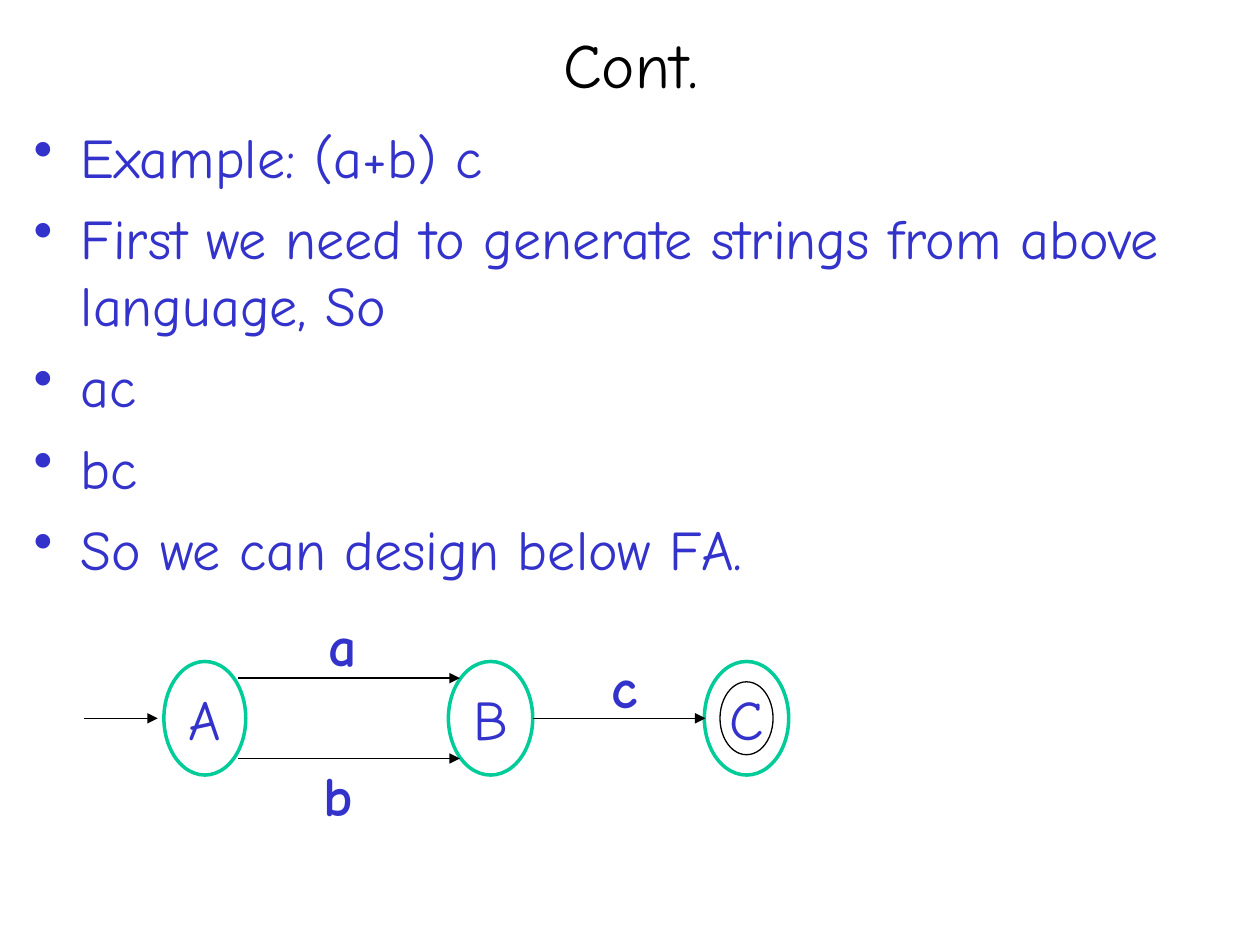
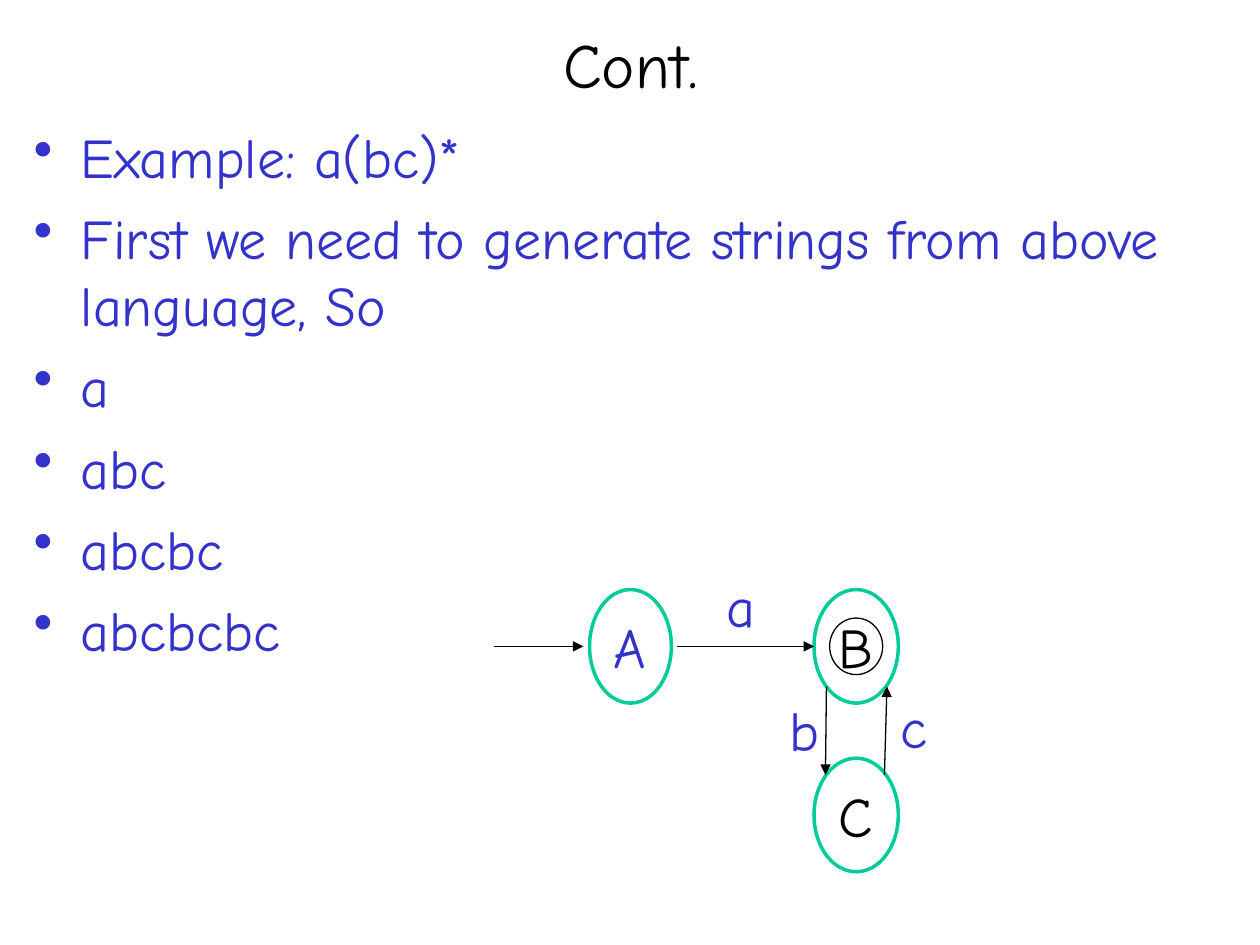
from lxml import etree
from pptx import Presentation
from pptx.dml.color import RGBColor
from pptx.enum.shapes import MSO_CONNECTOR as Link, MSO_SHAPE as Shape
from pptx.enum.text import MSO_ANCHOR as Anchor, MSO_AUTO_SIZE as Fit, PP_ALIGN as Align
from pptx.oxml.ns import qn
from pptx.util import Cm, Pt

COLORS = {"ink": "000000", "text": "3333CC", "state": "00CC99", "paper": "FFFFFF"}
FONT = "Comic Neue"
STATE_HEIGHT, LABEL_SIZE = 2.29, (1.07, 1.63)
TASK = "First we need to generate strings from above language, So"

# Places are in cm. states: name, centre x, centre y, width, text colour;
# accepting: centre x, centre y, width, height of the inner ring;
# arrows: from x, from y, to x, to y; labels: text, left, top.
SLIDES = [
    {
        "bullets": ["Example: (a+b) c", TASK, "ac", "bc", "So we can design below FA."],
        "states": [("A", 4.13, 14.48, 1.65, "text"),
                   ("B", 9.89, 14.48, 1.7, "text"),
                   ("C", 15.05, 14.48, 1.7, "text")],
        "accepting": (15.05, 14.48, 1.07, 1.47),
        "arrows": [(1.7, 14.48, 3.18, 14.48), (4.8, 13.67, 9.27, 13.67),
                   (4.8, 15.29, 9.27, 15.29), (10.74, 14.48, 14.22, 14.48)],
        "labels": [("a", 6.38, 12.19), ("b", 6.27, 15.21), ("c", 12.07, 13.03)],
        "bold_labels": True,
    },
    {
        "bullets": ["Example: a(bc)*", TASK, "a", "abc", "abcbc", "abcbcbc"],
        "states": [("A", 12.71, 13.03, 1.65, "text"),
                   ("B", 17.26, 13.03, 1.7, "ink"),
                   ("C", 17.26, 16.43, 1.7, "ink")],
        "accepting": (17.26, 13.03, 1.07, 1.14),
        "arrows": [(9.96, 13.03, 11.76, 13.03), (13.64, 13.03, 16.41, 13.03),
                   (16.66, 13.84, 16.64, 15.62), (17.83, 15.62, 17.88, 13.84)],
        "labels": [("a", 14.4, 11.4), ("b", 15.67, 13.89), ("c", 17.91, 13.84)],
        "bold_labels": False,
    },
]


def write(box, lines, color="text", size=32, bold=False, bullets=False, **frame_format):
    """Fill a box with one paragraph per line."""
    frame = box.text_frame
    settings = {"vertical_anchor": Anchor.TOP, "word_wrap": True, **frame_format}
    align = settings.pop("align", Align.LEFT)
    for name, value in settings.items():
        setattr(frame, name, value)
    for number, line in enumerate(lines):
        para = frame.add_paragraph() if number else frame.paragraphs[0]
        para.alignment = align
        if number:
            para.space_before = Pt(8)
        if bullets:
            props = para._p.get_or_add_pPr()
            props.set("marL", str(Cm(0.95)))
            props.set("indent", str(-Cm(0.95)))
            etree.SubElement(props, qn("a:buChar"), char="•")
        span = para.add_run()
        span.text = line
        for name, value in {"name": FONT, "size": Pt(size), "bold": bold}.items():
            setattr(span.font, name, value)
        span.font.color.rgb = RGBColor.from_string(COLORS[color])


def add_ellipse(page, center_x, center_y, width, height, color, weight):
    oval = page.shapes.add_shape(Shape.OVAL, Cm(center_x - width / 2),
                                 Cm(center_y - height / 2), Cm(width), Cm(height))
    oval.shadow.inherit = False
    oval.line.color.rgb = RGBColor.from_string(COLORS[color])
    oval.line.width = Pt(weight)
    return oval


deck = Presentation()
deck.slide_width, deck.slide_height = Cm(25.4), Cm(19.05)

for content in SLIDES:
    page = deck.slides.add_slide(deck.slide_layouts[6])

    title = page.shapes.add_textbox(Cm(0.43), Cm(0.43), Cm(24.56), Cm(1.7))
    write(title, ["Cont."], "ink", 36, align=Align.CENTER, vertical_anchor=Anchor.MIDDLE)

    body = page.shapes.add_textbox(Cm(0.43), Cm(2.34), Cm(24.56), Cm(15.24))
    write(body, content["bullets"], bullets=True)

    for name, center_x, center_y, width, color in content["states"]:
        state = add_ellipse(page, center_x, center_y, width, STATE_HEIGHT, "state", 2)
        state.fill.solid()
        state.fill.fore_color.rgb = RGBColor.from_string(COLORS["paper"])
        write(state, [name], color, word_wrap=False)

    ring = add_ellipse(page, *content["accepting"], "ink", 0.75)
    ring.fill.background()

    for ends in content["arrows"]:
        arrow = page.shapes.add_connector(Link.STRAIGHT, *map(Cm, ends))
        arrow.line.color.rgb = RGBColor.from_string(COLORS["ink"])
        arrow.line.width = Pt(0.75)
        etree.SubElement(arrow.line._get_or_add_ln(), qn("a:tailEnd"), type="triangle")
        etree.SubElement(arrow._element.spPr, qn("a:effectLst"))

    for text, left, top in content["labels"]:
        label = page.shapes.add_textbox(Cm(left), Cm(top), *map(Cm, LABEL_SIZE))
        write(label, [text], bold=content["bold_labels"], word_wrap=False,
              auto_size=Fit.SHAPE_TO_FIT_TEXT)

deck.save("out.pptx")
